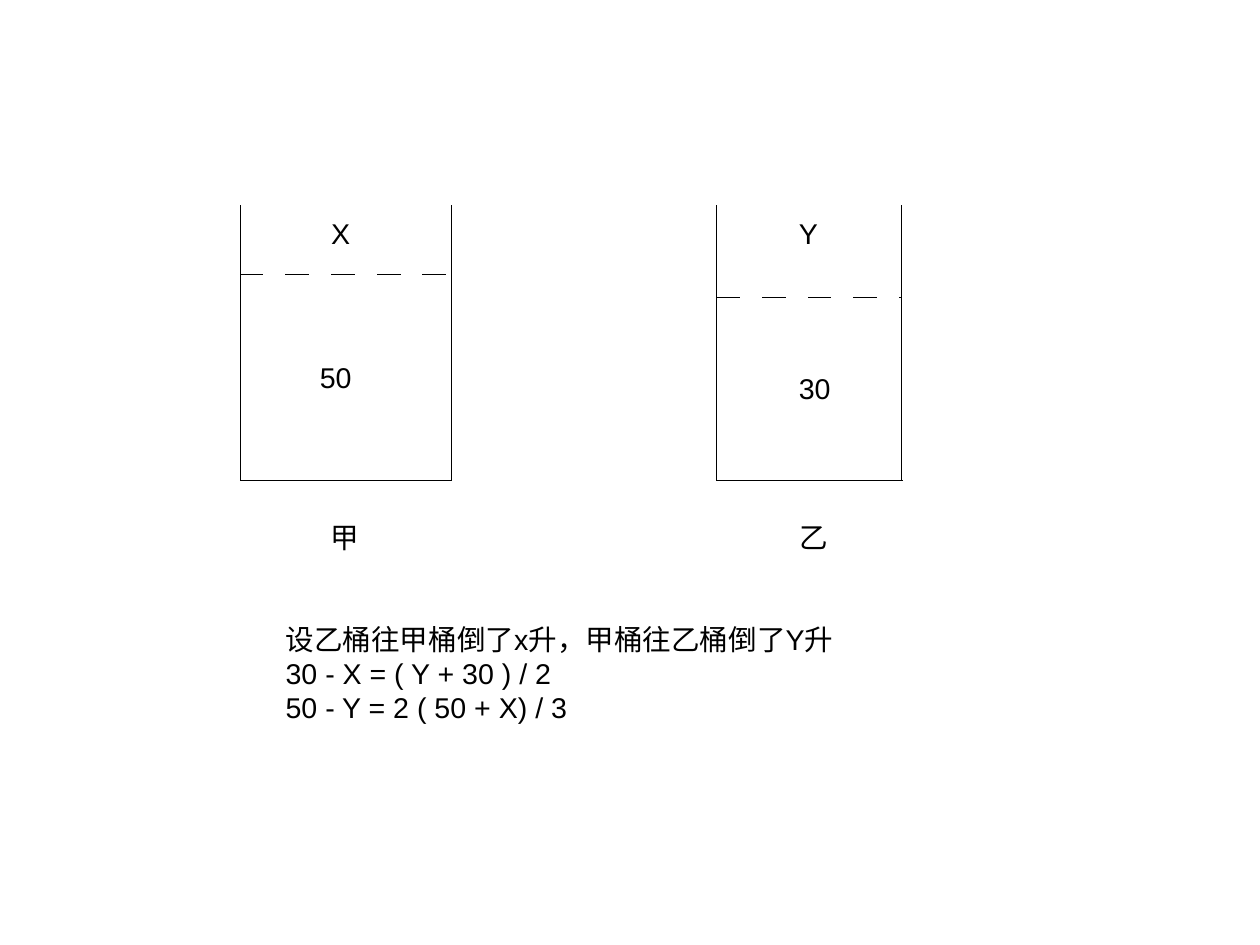
"""Draw two water buckets and the equations that link them."""
from pptx import Presentation
from pptx.util import Cm, Inches as Inch, Pt
from pptx.dml.color import RGBColor as RGB
from pptx.enum.shapes import MSO_CONNECTOR as LINK
from pptx.enum.text import MSO_AUTO_SIZE as FIT
from pptx.oxml.ns import qn
from lxml.etree import SubElement as Sub

INK = {"black": "000000"}
TOP, BASE = 1.8, 4.2

deck = Presentation()
deck.slide_width, deck.slide_height = Cm(28), Cm(21)
page = deck.slides.add_slide(deck.slide_layouts[6])


def rule(x1, y1, x2, y2, dash=False):
    """Draw a hairline, dashed for a water level."""
    link = page.shapes.add_connector(LINK.STRAIGHT, *map(Inch, (x1, y1, x2, y2)))
    link.line.color.rgb = RGB.from_string(INK["black"])
    props = link._element.spPr
    line = props.find(qn("a:ln"))
    line.set("w", "0")
    if dash:
        style = Sub(line, qn("a:custDash"))
        Sub(style, qn("a:ds"), d="1885000", sp="1885000")
    Sub(props, qn("a:effectLst"))


def label(text, x, y, wide, high):
    """Place unwrapped text in a box that fits it."""
    frame = page.shapes.add_textbox(*map(Inch, (x, y, wide, high))).text_frame
    frame.word_wrap = False
    frame.auto_size = FIT.SHAPE_TO_FIT_TEXT
    frame.text = text
    for para in frame.paragraphs:
        for run in para.runs:
            run.font.name, run.font.size = "Arial", Pt(18)
            run.font.color.rgb = RGB.from_string(INK["black"])


buckets = [
    (2.1, 3.95, 3.95, 2.4, ("甲", 2.79), ("50", 2.7, 3.1), ("X", 2.8)),
    (6.27, 7.89, 7.9, 2.6, ("乙", 6.9), ("30", 6.89, 3.2), ("Y", 6.89)),
]
for left, right, end, level, name, fill, gap in buckets:
    for side in (left, right):
        rule(side, TOP, side, BASE)
    rule(left, BASE, end, BASE)
    rule(left, level, right, level, dash=True)
    label(*name, 4.5, 0.45, 0.46)
    label(*fill, 0.48, 0.38)
    label(*gap, 1.84, 0.36, 0.38)

label("设乙桶往甲桶倒了x升，甲桶往乙桶倒了Y升\n"
      "30 - X = ( Y + 30 ) / 2\n"
      "50 - Y = 2 ( 50 + X) / 3", 2.4, 5.39, 5.25, 1.02)

deck.save("out.pptx")
